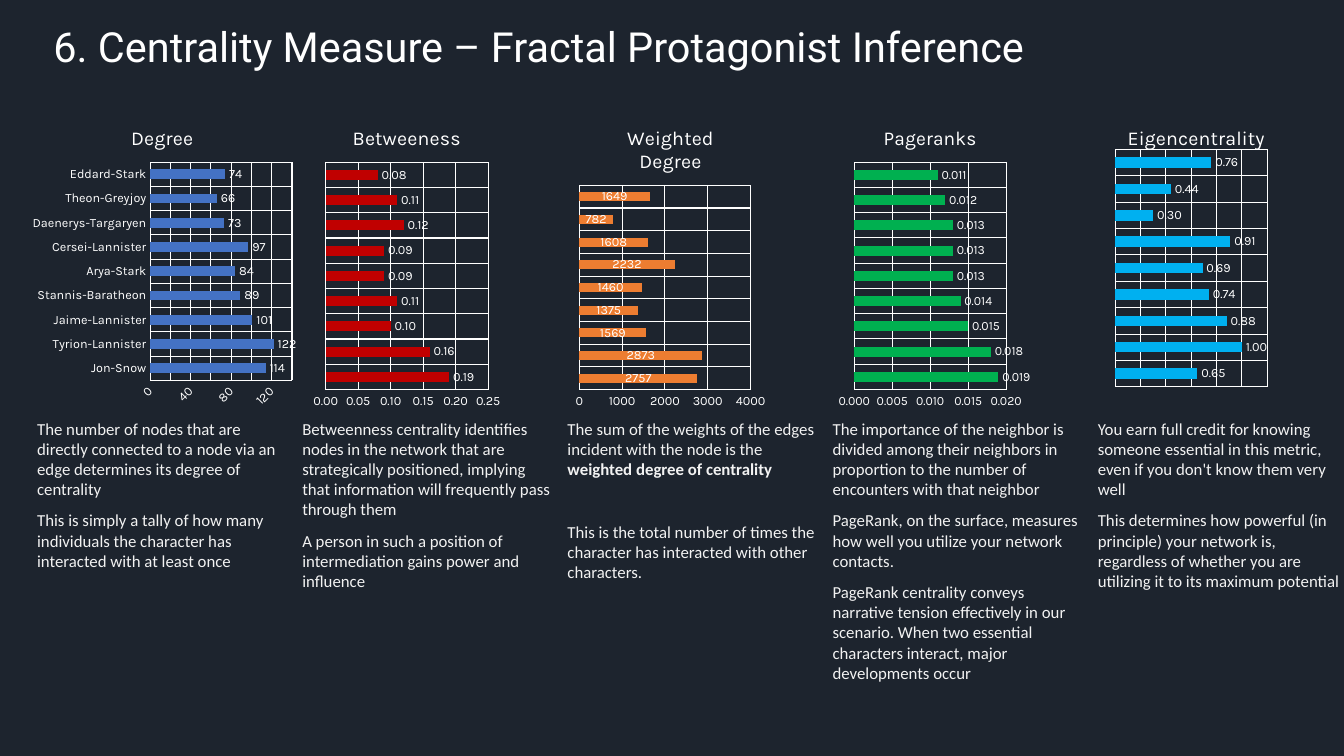
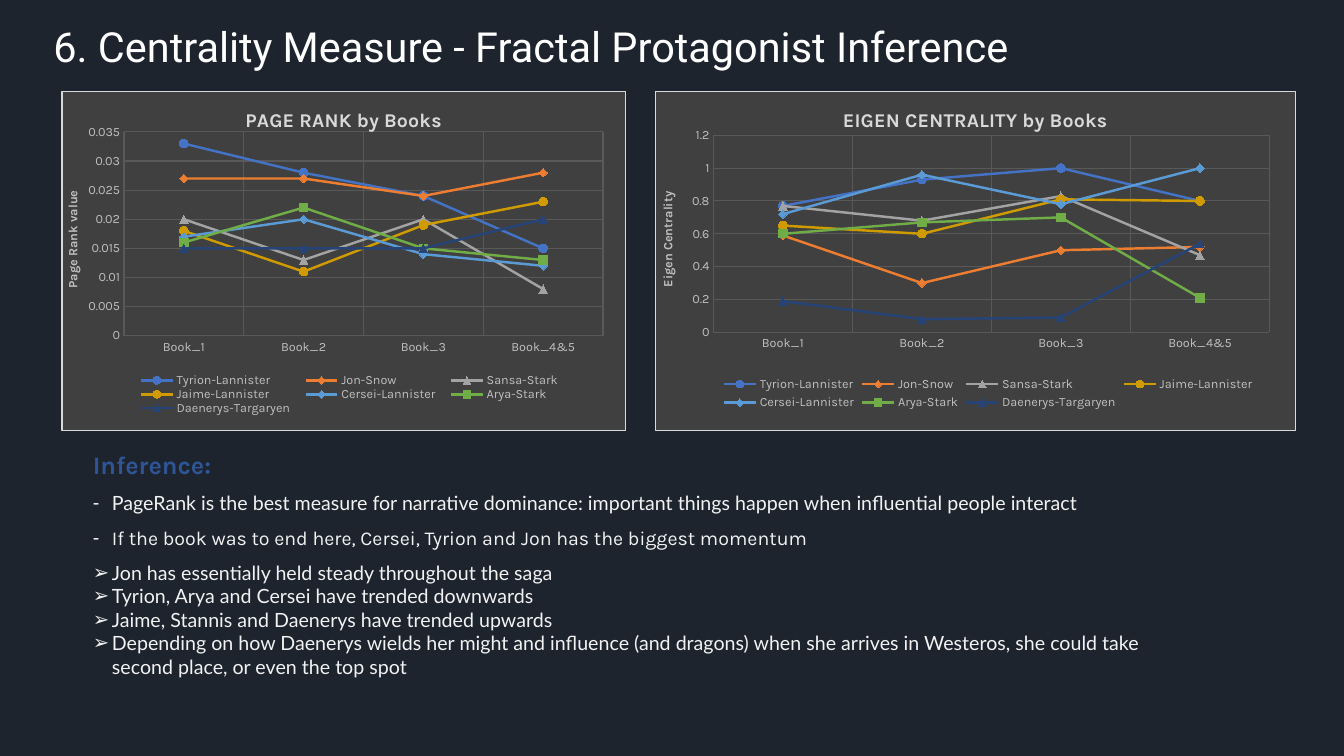
from dataclasses import dataclass

from pptx import Presentation
from pptx.chart.data import CategoryChartData
from pptx.dml.color import RGBColor
from pptx.enum.chart import XL_CHART_TYPE, XL_LEGEND_POSITION, XL_MARKER_STYLE, XL_TICK_MARK
from pptx.enum.text import MSO_ANCHOR, MSO_AUTO_SIZE, PP_ALIGN
from pptx.oxml import parse_xml
from pptx.oxml.ns import nsdecls
from pptx.util import Inches, Pt


@dataclass(frozen=True)
class Theme:
    back: str = "1D242E"
    white: str = "FFFFFF"
    text: str = "F2F2F2"
    heading: str = "2F5597"
    panel: str = "404040"
    border: str = "D9D9D9"
    axis: str = "BFBFBF"
    grid: str = "595959"
    title_font: str = "Roboto"
    chart_font: str = "Karla"
    note_font: str = "Calibri"
    list_font: str = "Lato"
    title_size: float = 29.6
    heading_size: int = 18
    list_size: int = 14
    note_size: int = 12
    chart_title_size: int = 14
    label_size: int = 9


T = Theme()


def set_font(font, size, color, name=T.chart_font, bold=False):
    font.size, font.name, font.bold = Pt(size), name, bold
    font.color.rgb = RGBColor.from_string(color)


def add_chart(slide, kind, box, title, cats, series, color=T.white, grid=T.white,
              bold=False, panel=False, plot=None, legend=None, fmt="General"):
    data = CategoryChartData(number_format=fmt)
    data.categories = cats
    for name, values in series:
        data.add_series(name, values)
    chart = slide.shapes.add_chart(kind, *map(Inches, box), data).chart
    set_font(chart.font, 10, T.white)

    # Title
    chart.has_title = True
    chart.chart_title.include_in_layout = False
    p = chart.chart_title.text_frame.paragraphs[0]
    r = p.add_run()
    r.text = title
    set_font(r.font, T.chart_title_size, T.border if panel else T.white, bold=bold)

    # Chart area
    fill = "<a:noFill/><a:ln><a:noFill/></a:ln>"
    if panel:
        fill = (f'<a:solidFill><a:srgbClr val="{T.panel}"/></a:solidFill><a:ln w="9525">'
                f'<a:solidFill><a:srgbClr val="{T.border}"/></a:solidFill></a:ln>')
    chart.element.xpath("c:chart")[0].addnext(
        parse_xml(f'<c:spPr {nsdecls("c", "a")}>{fill}</c:spPr>'))

    # Axes
    for axis in (chart.category_axis, chart.value_axis):
        axis.major_tick_mark = axis.minor_tick_mark = XL_TICK_MARK.NONE
        axis.format.line.fill.background()
        set_font(axis.tick_labels.font, T.label_size, color)
        axis.has_major_gridlines = panel or axis is not chart.category_axis
        if axis.has_major_gridlines:
            line = axis.major_gridlines.format.line
            line.width = Pt(0.75)
            line.color.rgb = RGBColor.from_string(grid)
    chart.value_axis.tick_labels.number_format = fmt
    chart.value_axis.tick_labels.number_format_is_linked = False

    # Legend and fixed places inside the chart
    chart.has_legend = legend is not None
    if legend:
        chart.legend.position = XL_LEGEND_POSITION.TOP
        chart.legend.include_in_layout = False
        set_font(chart.legend.font, T.label_size, color)
    for area, part, index in ((plot, "plotArea", 0), (legend, "legend", 1)):
        if area:
            parent = chart.element.xpath(f"c:chart/c:{part}")[0]
            for old in parent.xpath("c:layout"):
                parent.remove(old)
            target = '<c:layoutTarget val="inner"/>' if part == "plotArea" else ""
            modes = '<c:xMode val="edge"/><c:yMode val="edge"/>'
            place = "".join(f'<c:{k} val="{v}"/>' for k, v in zip("xywh", area))
            parent.insert(index, parse_xml(
                f'<c:layout {nsdecls("c")}><c:manualLayout>{target}{modes}{place}'
                "</c:manualLayout></c:layout>"))
    return chart


prs = Presentation()
prs.slide_width, prs.slide_height = Inches(13.33), Inches(7.5)
fill = prs.slide_master.background.fill
fill.solid()
fill.fore_color.rgb = RGBColor.from_string(T.back)

# Slides with their titles
slides = []
for layout, title in ((5, "6. Centrality Measure – Fractal Protagonist Inference"),
                      (1, "6. Centrality Measure - Fractal Protagonist Inference")):
    slide = prs.slides.add_slide(prs.slide_layouts[layout])
    sp = slide.shapes.title
    sp.left, sp.top, sp.width, sp.height = map(Inches, (0.43, 0.2, 12.13, 0.57))
    tf = sp.text_frame
    tf.auto_size, tf.vertical_anchor = MSO_AUTO_SIZE.NONE, MSO_ANCHOR.MIDDLE
    p = tf.paragraphs[0]
    p.alignment, p.line_spacing = PP_ALIGN.LEFT, 0.9
    r = p.add_run()
    r.text = title
    set_font(r.font, T.title_size, T.white, T.title_font)
    slides.append(slide)
measures, books = slides

# Slide 1: one bar chart for each measure
characters = ["Jon-Snow", "Tyrion-Lannister", "Jaime-Lannister", "Stannis-Baratheon",
              "Arya-Stark", "Cersei-Lannister", "Daenerys-Targaryen", "Theon-Greyjoy",
              "Eddard-Stark"]
# name, left, width, colour, number format, axis maximum, axis step, values
bars = [
    ("Degree", 0.27, 2.68, "4472C4", "General", 140, 20,
     [114, 122, 101, 89, 84, 97, 73, 66, 74]),
    ("Betweeness", 3.07, 1.93, "C00000", "0.00", 0.25, 0.05,
     [0.19, 0.16, 0.1, 0.11, 0.09, 0.09, 0.12, 0.11, 0.08]),
    ("Weighted Degree", 5.67, 1.96, "ED7D31", "General", 4000, 1000,
     [2757, 2873, 1569, 1375, 1460, 2232, 1608, 782, 1649]),
    ("Pageranks", 8.28, 1.94, "00B050", "0.000", 0.02, 0.005,
     [0.019, 0.018, 0.015, 0.014, 0.013, 0.013, 0.013, 0.012, 0.011]),
    ("Eigencentrality", 10.86, 2.01, "00B0F0", "0.00", 1.2, 0.2,
     [0.65, 1, 0.88, 0.74, 0.69, 0.91, 0.3, 0.44, 0.76]),
]
for name, left, width, color, fmt, top, step, values in bars:
    stacked = name == "Weighted Degree"
    eigen = name == "Eigencentrality"
    kind = XL_CHART_TYPE.BAR_STACKED if stacked else XL_CHART_TYPE.BAR_CLUSTERED
    chart = add_chart(measures, kind, (left, 1.09, width, 3.02), name, characters,
                      [(name, values)], fmt=fmt,
                      plot=(0.1, 0.13, 0.75, 0.78) if eigen else None)
    chart.category_axis.visible = name == "Degree"
    chart.value_axis.visible = not eigen
    chart.value_axis.minimum_scale, chart.value_axis.maximum_scale = 0, top
    chart.value_axis.major_unit = step
    plot = chart.plots[0]
    plot.gap_width, plot.vary_by_categories = 150, False
    plot.overlap = 100 if stacked else 0
    plot.has_data_labels = True
    labels = plot.data_labels
    labels.show_value = True
    labels.number_format, labels.number_format_is_linked = fmt, False
    set_font(labels.font, T.label_size, T.white)
    fill = plot.series[0].format.fill
    fill.solid()
    fill.fore_color.rgb = RGBColor.from_string(color)

# Slide 1: an explanation under each chart, as paragraphs of (text, bold) runs
notes = [
    [[("The number of nodes that are directly connected to a node via an edge determines "
       "its degree of centrality", False)],
     [("This is simply a tally of how many individuals the character has interacted with "
       "at least once", False)]],
    [[("Betweenness centrality identifies nodes in the network that are strategically "
       "positioned, implying that information will frequently pass through them", False)],
     [("A person in such a position of intermediation gains power and influence", False)]],
    [[("The sum of the weights of the edges incident with the node is the ", False),
      ("weighted degree of centrality", True)],
     [("This is the total number of times the character has interacted with other "
       "characters.", False)]],
    [[("The importance of the neighbor is divided among their neighbors in proportion to "
       "the number of encounters with that neighbor", False)],
     [("PageRank, on the surface, measures how well you utilize your network contacts.",
       False)],
     [("PageRank centrality conveys narrative tension effectively in our scenario. When "
       "two essential characters interact, major developments occur", False)]],
    [[("You earn full credit for knowing someone essential in this metric, even if you "
       "don't know them very well", False)],
     [("This determines how powerful (in principle) your network is, regardless of whether "
       "you are utilizing it to its maximum potential", False)]],
]
for column, paragraphs in enumerate(notes):
    sp = measures.shapes.add_textbox(Inches(0.27 + 2.63 * column), Inches(4.1),
                                     Inches(2.67), Inches(2.75))
    tf = sp.text_frame
    tf.word_wrap = True
    for i, runs in enumerate(paragraphs):
        p = tf.paragraphs[0] if i == 0 else tf.add_paragraph()
        p.space_after = Pt(30.5 if len(runs) > 1 else 8)
        for text, bold in runs:
            r = p.add_run()
            r.text = text
            set_font(r.font, T.note_size, T.text, T.note_font, bold)

# Slide 2: one line chart for each measure by book
book_names = ["Book_1", "Book_2", "Book_3", "Book_4&5"]
circle, diamond, triangle, square = (XL_MARKER_STYLE.CIRCLE, XL_MARKER_STYLE.DIAMOND,
                                     XL_MARKER_STYLE.TRIANGLE, XL_MARKER_STYLE.SQUARE)
# name, colour, marker, page rank, eigen centrality
lines = [
    ("Tyrion-Lannister", "4472C4", circle, [0.033, 0.028, 0.024, 0.015], [0.77, 0.93, 1, 0.8]),
    ("Jon-Snow", "ED7D31", diamond, [0.027, 0.027, 0.024, 0.028], [0.59, 0.3, 0.5, 0.52]),
    ("Sansa-Stark", "A3A3A3", triangle, [0.02, 0.013, 0.02, 0.008], [0.77, 0.68, 0.83, 0.47]),
    ("Jaime-Lannister", "CF9B00", circle, [0.018, 0.011, 0.019, 0.023], [0.65, 0.6, 0.81, 0.8]),
    ("Cersei-Lannister", "5B9BD5", diamond, [0.017, 0.02, 0.014, 0.012], [0.72, 0.96, 0.78, 1]),
    ("Arya-Stark", "70AD47", square, [0.016, 0.022, 0.015, 0.013], [0.6, 0.67, 0.7, 0.21]),
    ("Daenerys-Targaryen", "264478", triangle, [0.015, 0.015, 0.015, 0.02],
     [0.19, 0.08, 0.09, 0.54]),
]
# title, axis title, left, width, plot area, legend area, axis maximum, axis step
panels = [
    ("PAGE RANK by Books", "Page Rank value", 0.61, 5.6, (0.11, 0.12, 0.85, 0.6),
     (0.12, 0.83, 0.78, 0.12), 0.035, 0.005),
    ("EIGEN CENTRALITY by Books", "Eigen Centrality", 6.5, 6.35, (0.09, 0.13, 0.87, 0.58),
     (0.1, 0.83, 0.84, 0.12), 1.2, 0.2),
]
for i, (title, axis_title, left, width, plot, legend, top, step) in enumerate(panels):
    chart = add_chart(books, XL_CHART_TYPE.LINE_MARKERS, (left, 0.9, width, 3.38), title,
                      book_names, [(line[0], line[3 + i]) for line in lines], color=T.axis,
                      grid=T.grid, bold=True, panel=True, plot=plot, legend=legend)
    axis = chart.value_axis
    axis.minimum_scale, axis.maximum_scale, axis.major_unit = 0, top, step
    r = axis.axis_title.text_frame.paragraphs[0].add_run()
    r.text = axis_title
    set_font(r.font, T.label_size, T.axis, bold=True)
    axis.axis_title.element.xpath(".//a:bodyPr")[0].set("rot", "-5400000")
    for series, (name, color, marker, *values) in zip(chart.plots[0].series, lines):
        rgb = RGBColor.from_string(color)
        series.smooth = False
        series.format.line.width = Pt(1.75)
        series.format.line.color.rgb = rgb
        series.marker.style, series.marker.size = marker, 6
        series.marker.format.fill.solid()
        series.marker.format.fill.fore_color.rgb = rgb
        series.marker.format.line.color.rgb = rgb

# Slide 2: inference list as (bullet, text, font, space after)
inference = [
    (None, "Inference:", T.chart_font, 8),
    ("-", "PageRank is the best measure for narrative dominance: important things happen when "
          "influential people interact", T.list_font, 8),
    ("-", "If the book was to end here, Cersei, Tyrion and Jon has the biggest momentum",
     T.chart_font, 8),
    ("➢", "Jon has essentially held steady throughout the saga", T.list_font, 0),
    ("➢", "Tyrion, Arya and Cersei have trended downwards", T.list_font, 0),
    ("➢", "Jaime, Stannis and Daenerys have trended upwards", T.list_font, 0),
    ("➢", "Depending on how Daenerys wields her might and influence (and dragons) when she "
          "arrives in Westeros, she could take second place, or even the top spot",
     T.list_font, 0),
]
sp = books.placeholders[1]
sp.left, sp.top, sp.width, sp.height = map(Inches, (0.82, 4.41, 10.98, 2.63))
tf = sp.text_frame
tf.auto_size, tf.vertical_anchor = MSO_AUTO_SIZE.NONE, MSO_ANCHOR.TOP
for i, (bullet, text, font, after) in enumerate(inference):
    p = tf.paragraphs[0] if i == 0 else tf.add_paragraph()
    pPr = p._p.get_or_add_pPr()
    indent = Inches(0.19) if bullet else 0
    pPr.set("marL", str(indent))
    pPr.set("indent", str(-indent))
    mark = f'a:buChar {nsdecls("a")} char="{bullet}"' if bullet else f'a:buNone {nsdecls("a")}'
    pPr.append(parse_xml(f"<{mark}/>"))
    p.space_before, p.space_after = Pt(0), Pt(after)
    r = p.add_run()
    r.text = text
    if bullet:
        set_font(r.font, T.list_size, T.text, font)
    else:
        set_font(r.font, T.heading_size, T.heading, font, bold=True)

prs.save("out.pptx")
